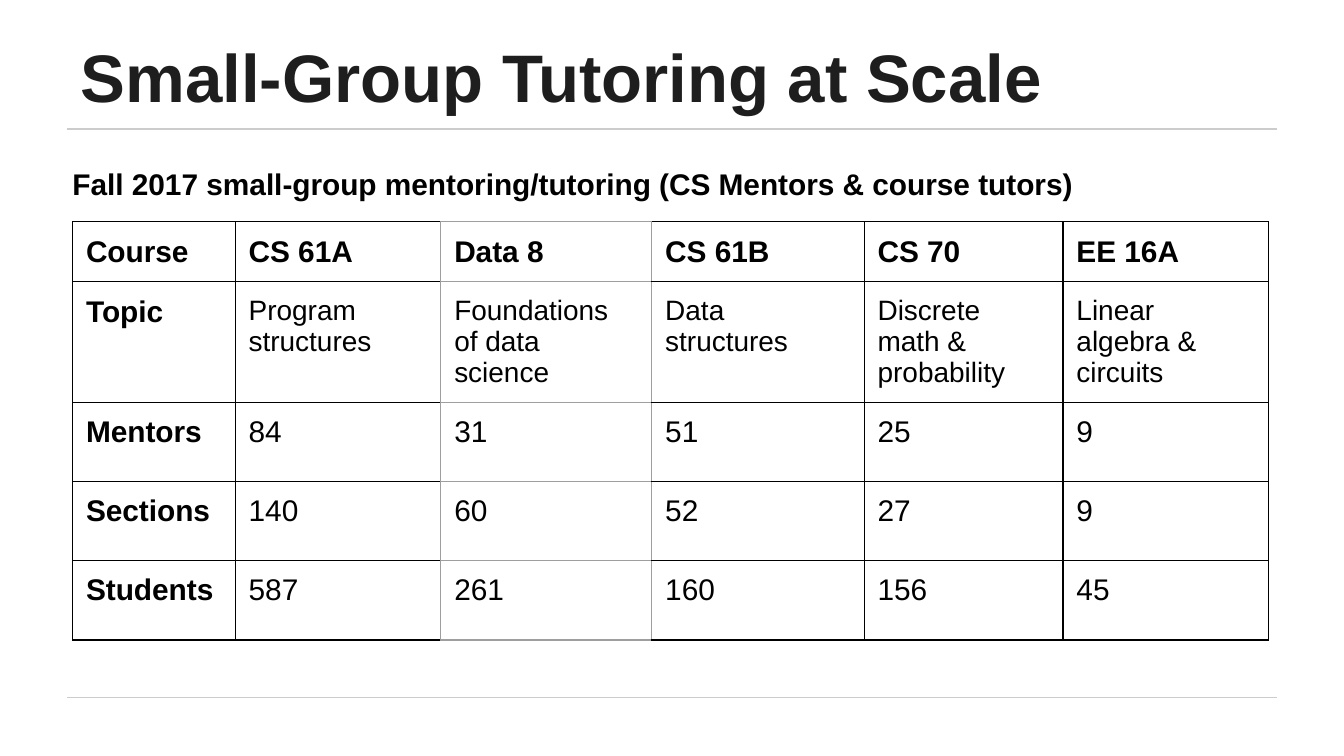
from lxml import etree
from pptx import Presentation
from pptx import util as u
from pptx.dml.color import RGBColor
from pptx.enum import shapes, text
from pptx.oxml.ns import qn

THEME = {
    "font": "Arial",
    "title": "1E1E1E", "ink": "000000", "rule": "CCCCCC", "soft": "9E9E9E",
    "title_size": 36, "size": 16, "topic_size": 15,
    "line": u.Pt(0.75), "inset": u.Inches(0.1),
}


def write(box, words, size, color="ink", bold=False):
    """Fill a text frame or table cell with one left-aligned paragraph."""
    box.margin_left = box.margin_right = THEME["inset"]
    box.margin_top = box.margin_bottom = THEME["inset"]
    box.word_wrap = True
    box.text = words
    p = getattr(box, "text_frame", box).paragraphs[0]
    p.alignment = text.PP_ALIGN.LEFT
    p.font.name, p.font.size, p.font.bold = THEME["font"], u.Pt(THEME[size]), bold
    p.font.color.rgb = RGBColor.from_string(THEME[color])


def border(cell, side, color):
    """Draw one edge of a cell; side is L, R, T or B."""
    ln = etree.SubElement(cell._tc.get_or_add_tcPr(), qn(f"a:ln{side}"), w=str(THEME["line"]))
    fill = etree.SubElement(ln, qn("a:solidFill"))
    etree.SubElement(fill, qn("a:srgbClr"), val=THEME[color])


# A 16:9 slide
prs = Presentation()
prs.slide_width = u.Inches(10)
prs.slide_height = prs.slide_width * 9 // 16
s = prs.slides.add_slide(prs.slide_layouts[5])
margin = u.Inches(0.5)

# Rules above and below the content
for y in (u.Inches(0.96), u.Inches(5.19)):
    rule = s.shapes.add_connector(shapes.MSO_CONNECTOR.STRAIGHT,
                                  margin, y, prs.slide_width - margin, y)
    rule.line.color.rgb = RGBColor.from_string(THEME["rule"])
    rule.line.width = THEME["line"]
    etree.SubElement(rule._element.spPr, qn("a:effectLst"))

# Title
title = s.shapes.title
title.left, title.top = margin, u.Inches(0.23)
title.width, title.height = u.Inches(8.16), u.Inches(0.73)
tf = title.text_frame
tf.auto_size = text.MSO_AUTO_SIZE.NONE
tf.vertical_anchor = text.MSO_ANCHOR.BOTTOM
write(tf, "Small-Group Tutoring at Scale", "title_size", "title", bold=True)

# Course table
rows = [
    ["Course", "CS 61A", "Data 8", "CS 61B", "CS 70", "EE 16A"],
    ["Topic", "Program structures", "Foundations of data science", "Data structures",
     "Discrete math & probability", "Linear algebra & circuits"],
    ["Mentors", "84", "31", "51", "25", "9"],
    ["Sections", "140", "60", "52", "27", "9"],
    ["Students", "587", "261", "160", "156", "45"],
]
widths = [1.21, 1.53, 1.57, 1.58, 1.48, 1.53]
heights = [0.43, 0.84, 0.59, 0.59, 0.59]
SOFT_COLUMN = rows[0].index("Data 8")

frame = s.shapes.add_table(len(rows), len(widths), u.Inches(0.54), u.Inches(1.65),
                           u.Inches(sum(widths)), u.Inches(sum(heights)))
table = frame.table
table.horz_banding = table.first_row = False
for column, width in zip(table.columns, widths):
    column.width = u.Inches(width)
for row, height in zip(table.rows, heights):
    row.height = u.Inches(height)

for i, row in enumerate(rows):
    for j, words in enumerate(row):
        cell = table.cell(i, j)
        heading = i == 0 or j == 0
        topic = row[0] == "Topic" and not heading
        write(cell, words, "topic_size" if topic else "size", bold=heading)
        # Edges that touch the soft column are grey, all others black
        for side, neighbour in (("L", j - 1), ("R", j + 1), ("T", j), ("B", j)):
            border(cell, side, "soft" if SOFT_COLUMN in (j, neighbour) else "ink")
        cell.fill.background()

# Table caption
caption = s.shapes.add_textbox(u.Inches(0.44), u.Inches(1.13), u.Inches(8.55), u.Inches(0.51))
write(caption.text_frame,
      "Fall 2017 small-group mentoring/tutoring (CS Mentors & course tutors)",
      "size", bold=True)

prs.save("out.pptx")
